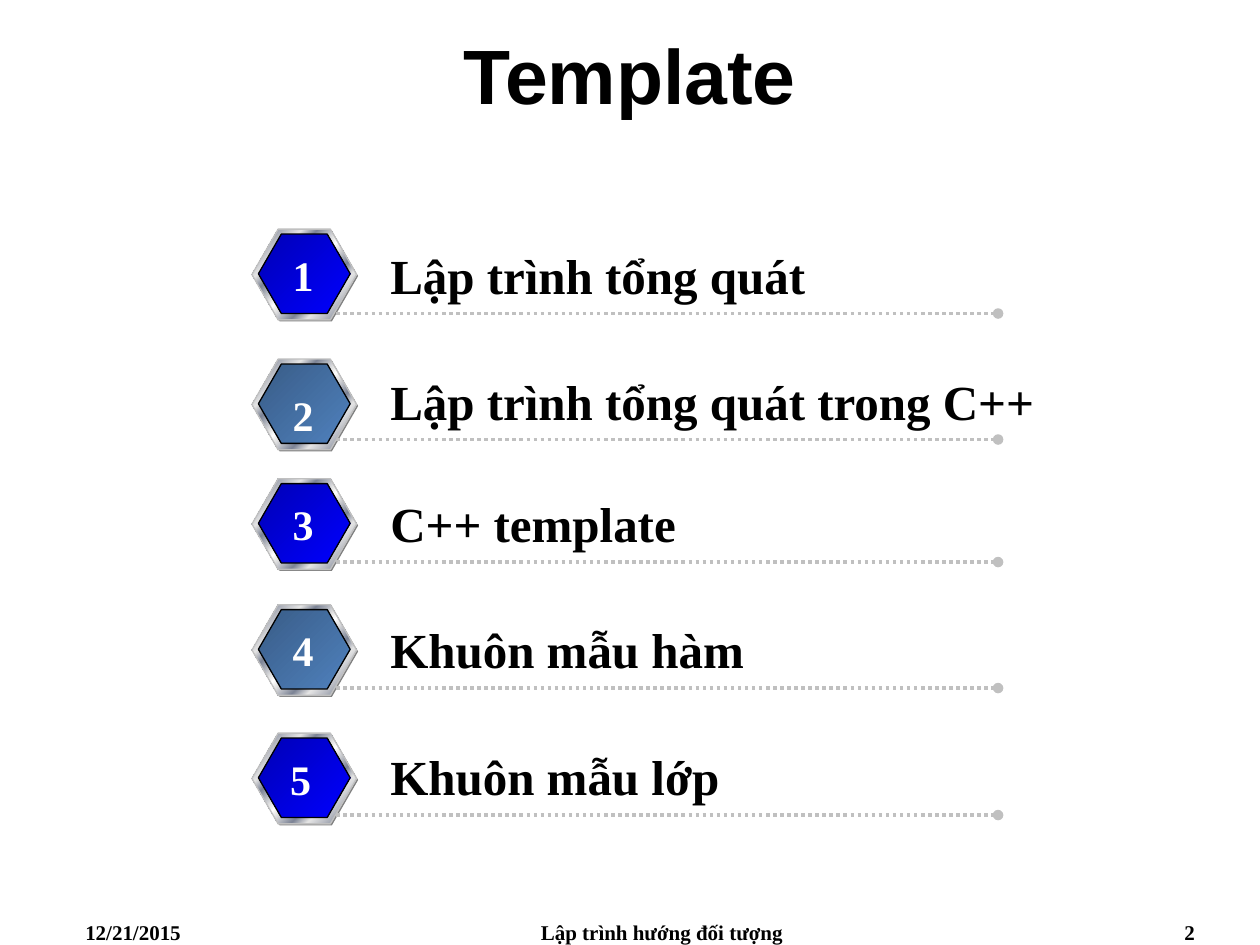
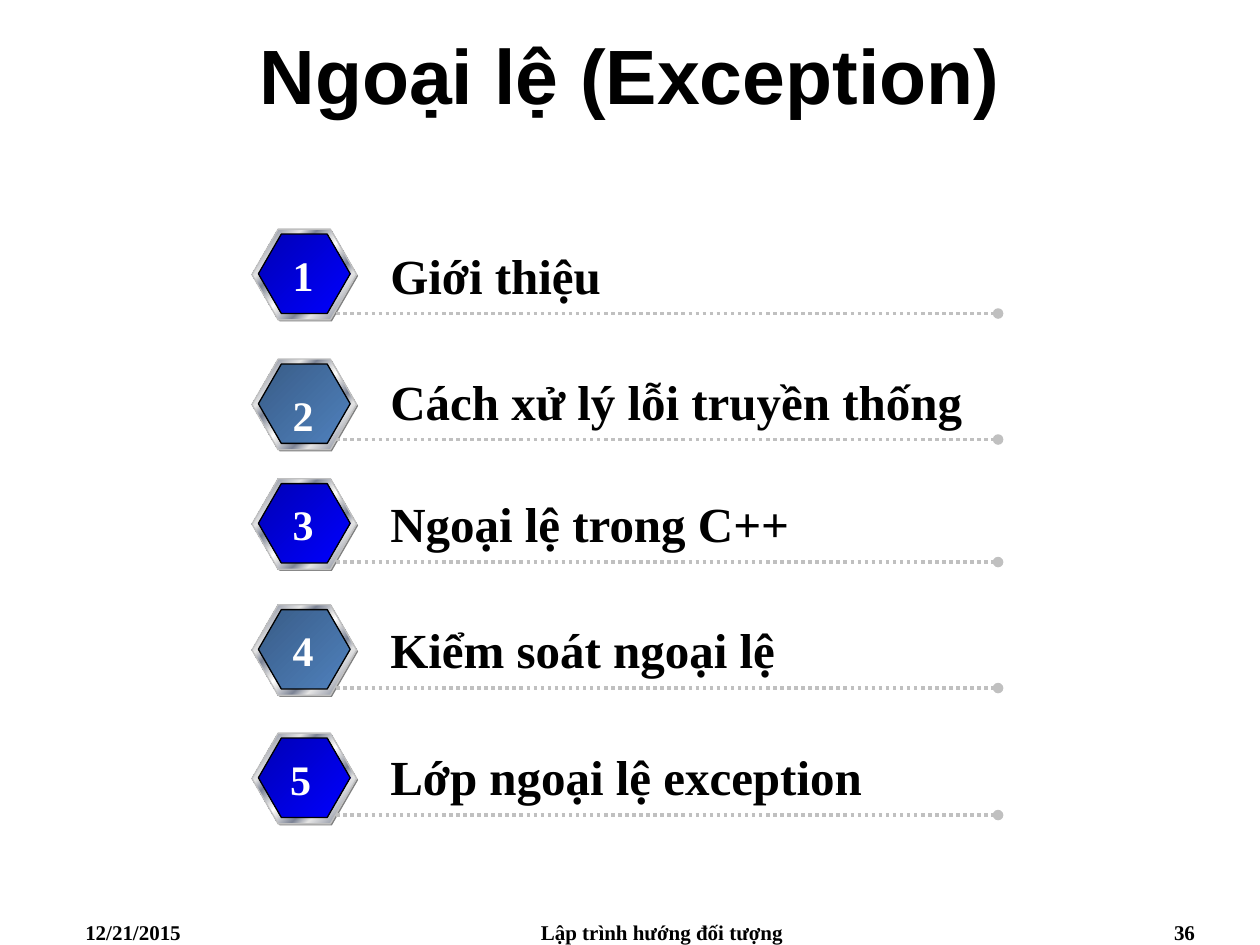
"""Build two agenda slides with numbered hexagon badges and dotted rules."""

from dataclasses import dataclass

import lxml.etree
import pptx
import pptx.dml.color
import pptx.enum.dml
import pptx.enum.shapes
import pptx.enum.text
import pptx.oxml.ns
import pptx.shapes.autoshape
import pptx.shapes.shapetree
import pptx.slide
import pptx.text.text
import pptx.util

Cm = pptx.util.Cm
Pt = pptx.util.Pt
Align = pptx.enum.text.PP_ALIGN
Stops = tuple[tuple[int, str], ...]


@dataclass(frozen=True)
class Theme:
    title_font: str = "Arial"
    body_font: str = "Times New Roman"
    title_size: int = 44
    topic_size: int = 28
    number_size: int = 24
    footer_size: int = 12
    text: str = "000000"
    number: str = "FFFFFF"
    rule: str = "C0C0C0"
    badge_shadow: str = "808080"
    rim: Stops = (
        (0, "E6E6E6"), (7, "7D8496"), (26, "E6E6E6"), (34, "7D8496"),
        (46, "E6E6E6"), (50, "FFFFFF"), (54, "E6E6E6"), (66, "7D8496"),
        (74, "E6E6E6"), (93, "7D8496"), (100, "E6E6E6"),
    )
    faces: tuple[Stops, ...] = (
        ((0, "0000B6"), (100, "0000FF")),
        ((0, "395C87"), (100, "4F81BD")),
    )


@dataclass(frozen=True)
class Box:
    left: float
    top: float
    width: float
    height: float

    def lengths(self) -> tuple[pptx.util.Length, ...]:
        return Cm(self.left), Cm(self.top), Cm(self.width), Cm(self.height)


@dataclass(frozen=True)
class AgendaRow:
    badge_top: float
    rule_top: float
    topic_width: float = 12.5
    number_left: float = 5.64
    number_drop: float = 0.28


@dataclass(frozen=True)
class Agenda:
    title: str
    page: str
    topics: tuple[str, ...]


THEME = Theme()
TITLE_BOX = Box(0, 0, 25.4, 2.97)
FOOTER_TOP = 18.42
COURSE = "Lập trình hướng đối tượng"
DATE = "12/21/2015"
ROWS = (
    AgendaRow(4.62, 6.32),
    AgendaRow(7.24, 8.86, topic_width=13.54, number_drop=0.48),
    AgendaRow(9.65, 11.33),
    AgendaRow(12.19, 13.87),
    AgendaRow(14.78, 16.43, number_left=5.59),
)
AGENDAS = (
    Agenda("Template", "2", (
        "Lập trình tổng quát",
        "Lập trình tổng quát trong C++",
        "C++ template",
        "Khuôn mẫu hàm",
        "Khuôn mẫu lớp",
    )),
    Agenda("Ngoại lệ (Exception)", "36", (
        "Giới thiệu",
        "Cách xử lý lỗi truyền thống",
        "Ngoại lệ trong C++",
        "Kiểm soát ngoại lệ",
        "Lớp ngoại lệ exception",
    )),
)


def rgb(value: str) -> pptx.dml.color.RGBColor:
    return pptx.dml.color.RGBColor.from_string(value)


def write(frame: pptx.text.text.TextFrame, text: str, font: str, size: int,
          color: str, align: Align) -> None:
    paragraph = frame.paragraphs[0]
    paragraph.alignment = align
    run = paragraph.add_run()
    run.text = text
    run.font.name = font
    run.font.size = Pt(size)
    run.font.bold = True
    run.font.color.rgb = rgb(color)


def add_label(shapes: pptx.shapes.shapetree.GroupShapes, box: Box, text: str,
              size: int, color: str = THEME.text, align: Align = Align.LEFT,
              wrap: bool = True, grow: bool = True) -> None:
    frame = shapes.add_textbox(*box.lengths()).text_frame
    frame.word_wrap = wrap
    if grow:
        frame.auto_size = pptx.enum.text.MSO_AUTO_SIZE.SHAPE_TO_FIT_TEXT
    write(frame, text, THEME.body_font, size, color, align)


def add_hexagon(shapes: pptx.shapes.shapetree.GroupShapes,
                box: Box) -> pptx.shapes.autoshape.Shape:
    shape = shapes.add_shape(pptx.enum.shapes.MSO_SHAPE.HEXAGON, *box.lengths())
    shape.adjustments[0] = 0.289
    shape.shadow.inherit = False
    return shape


def fill_gradient(shape: pptx.shapes.autoshape.Shape, stops: Stops, outline: str) -> None:
    shape.fill.gradient()
    shape.fill.gradient_angle = 315
    qn = pptx.oxml.ns.qn
    stop_list = next(shape.element.iter(qn("a:gsLst")))
    for old_stop in list(stop_list):
        stop_list.remove(old_stop)
    for position, color in stops:
        stop = lxml.etree.SubElement(stop_list, qn("a:gs"), pos=str(position * 1000))
        lxml.etree.SubElement(stop, qn("a:srgbClr"), val=color)
    shape.line.color.rgb = rgb(outline)
    shape.line.width = Pt(0.75)


def add_badge(shapes: pptx.shapes.shapetree.GroupShapes, top: float, face: Stops) -> None:
    backing = add_hexagon(shapes, Box(5.11, top + 0.03, 2.11, 1.83))
    backing.fill.solid()
    backing.fill.fore_color.rgb = rgb(THEME.badge_shadow)
    backing.line.fill.background()
    fill_gradient(add_hexagon(shapes, Box(5.08, top, 2.11, 1.83)), THEME.rim, THEME.rule)
    fill_gradient(add_hexagon(shapes, Box(5.21, top + 0.1, 1.85, 1.6)), face, THEME.text)


def add_rule(shapes: pptx.shapes.shapetree.GroupShapes, top: float) -> None:
    rule = shapes.add_connector(pptx.enum.shapes.MSO_CONNECTOR.STRAIGHT,
                                Cm(6.78), Cm(top), Cm(20.12), Cm(top))
    rule.line.color.rgb = rgb(THEME.rule)
    rule.line.width = Pt(2)
    rule.line.dash_style = pptx.enum.dml.MSO_LINE.ROUND_DOT
    qn = pptx.oxml.ns.qn
    properties = rule.element.spPr
    lxml.etree.SubElement(properties.find(qn("a:ln")), qn("a:tailEnd"), type="oval")
    lxml.etree.SubElement(properties, qn("a:effectLst"))


def add_row(slide: pptx.slide.Slide, row: AgendaRow, number: int, topic: str) -> None:
    shapes = slide.shapes.add_group_shape().shapes
    add_badge(shapes, row.badge_top, THEME.faces[(number - 1) % len(THEME.faces)])
    add_rule(shapes, row.rule_top)
    add_label(shapes, Box(7.62, row.rule_top - 1.5, row.topic_width, 1.45),
              topic, THEME.topic_size)
    add_label(shapes, Box(row.number_left, row.badge_top + row.number_drop, 0.94, 1.27),
              str(number), THEME.number_size, THEME.number, Align.CENTER, wrap=False)


def add_footer(slide: pptx.slide.Slide, page: str) -> None:
    for text, left, width, align in (
        (DATE, 1.47, 5.92, Align.LEFT),
        (COURSE, 9.32, 8.05, Align.CENTER),
        (page, 18.42, 5.92, Align.RIGHT),
    ):
        add_label(slide.shapes, Box(left, FOOTER_TOP, width, 0.64), text,
                  THEME.footer_size, align=align, grow=False)


def add_agenda(presentation: pptx.presentation.Presentation, agenda: Agenda) -> None:
    slide = presentation.slides.add_slide(presentation.slide_layouts[5])
    title = slide.shapes.title
    title.left, title.top, title.width, title.height = TITLE_BOX.lengths()
    title.text_frame.vertical_anchor = pptx.enum.text.MSO_ANCHOR.MIDDLE
    write(title.text_frame, agenda.title, THEME.title_font, THEME.title_size,
          THEME.text, Align.CENTER)
    add_footer(slide, agenda.page)
    for number, (row, topic) in enumerate(zip(ROWS, agenda.topics), start=1):
        add_row(slide, row, number, topic)


def main() -> None:
    presentation = pptx.Presentation()
    presentation.slide_width = Cm(25.4)
    presentation.slide_height = Cm(19.05)
    for agenda in AGENDAS:
        add_agenda(presentation, agenda)
    presentation.save("out.pptx")


if __name__ == "__main__":
    main()
